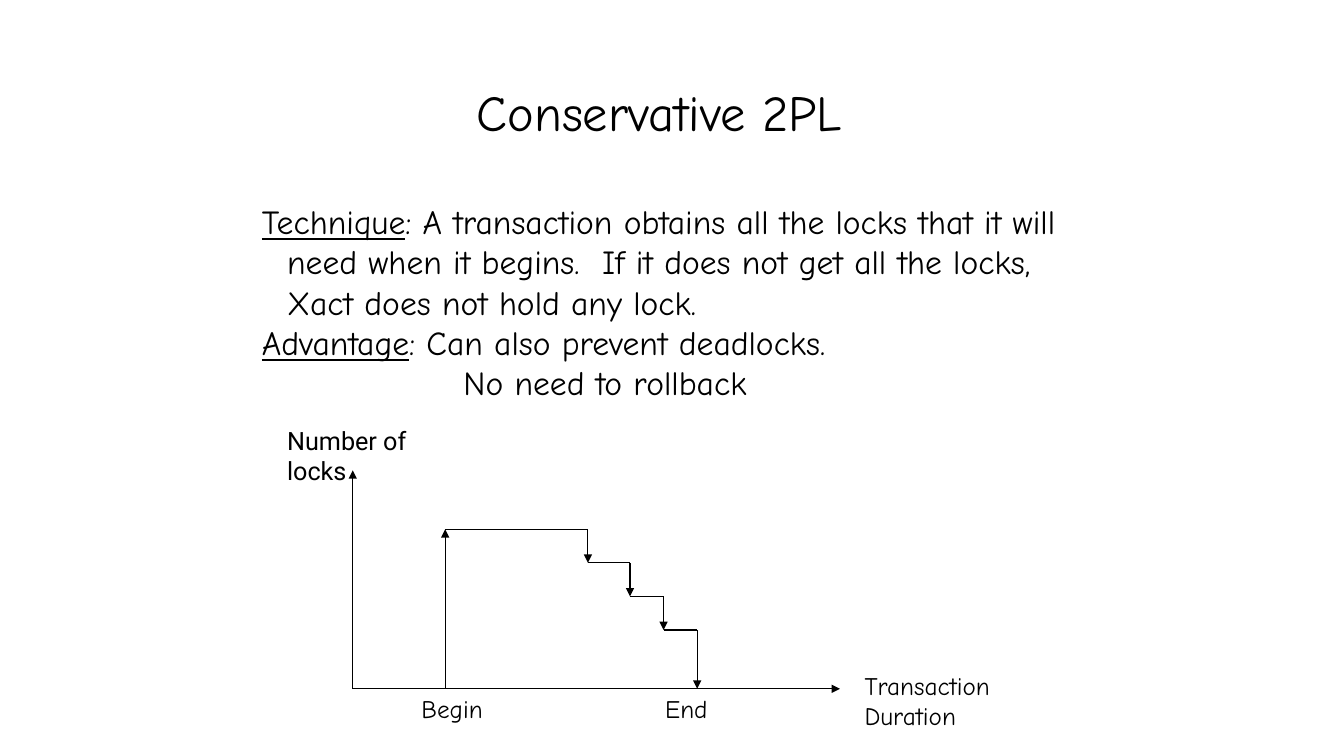
import pptx
import pptx.util
import pptx.dml.color
import pptx.enum.shapes
import pptx.enum.text
import pptx.oxml
import pptx.oxml.ns
from dataclasses import dataclass
from itertools import pairwise

Pt = pptx.util.Pt
Align = pptx.enum.text.PP_ALIGN


@dataclass(frozen=True)
class Theme:
    """Fonts, colours and sizes in points."""
    ink: str = "000000"
    paper: str = "FFFFFF"
    hand: str = "Comic Neue"
    plain: str = "Roboto"
    head: float = 36
    body: float = 24
    label: float = 18
    line: float = 0.75


THEME = Theme()


def color(value):
    """Turn a hex code into a colour."""
    return pptx.dml.color.RGBColor.from_string(value)


def write(para, text, size=THEME.label, font=THEME.hand, under=False,
          align=Align.LEFT, left=0, first=0):
    """Add a formatted run to a paragraph, with indents in points."""
    run = para.add_run()
    run.text = text
    run.font.size = Pt(size)
    run.font.name = font
    run.font.underline = under
    run.font.color.rgb = color(THEME.ink)
    para.alignment = align
    props = para._p.get_or_add_pPr()
    props.set("marL", str(Pt(left)))
    props.set("indent", str(Pt(first)))


class Page:
    """One slide and the style it is drawn in."""

    def __init__(self, deck, theme):
        """Add a title-only slide to the deck."""
        self.theme = theme
        self.slide = deck.slides.add_slide(deck.slide_layouts[5])
        fill = self.slide.background.fill
        fill.solid()
        fill.fore_color.rgb = color(theme.paper)

    def title(self, text, left, top, width, height):
        """Place and fill the title."""
        shape = self.slide.shapes.title
        shape.left, shape.top = Pt(left), Pt(top)
        shape.width, shape.height = Pt(width), Pt(height)
        frame = shape.text_frame
        frame.word_wrap = True
        frame.auto_size = pptx.enum.text.MSO_AUTO_SIZE.NONE
        frame.vertical_anchor = pptx.enum.text.MSO_ANCHOR.TOP
        para = frame.paragraphs[0]
        para.line_spacing = 1.0
        para.space_before = Pt(0)
        write(para, text, size=self.theme.head, align=Align.CENTER)

    def box(self, left, top, width, height):
        """Add a wrapping text box and return its frame."""
        shape = self.slide.shapes.add_textbox(
            Pt(left), Pt(top), Pt(width), Pt(height))
        shape.text_frame.word_wrap = True
        return shape.text_frame

    def label(self, text, left, top, width, height=29, **style):
        """Add a short text."""
        frame = self.box(left, top, width, height)
        write(frame.paragraphs[0], text, **style)

    def line(self, start, end, arrow=False):
        """Draw a line between two points, with an arrowhead if asked."""
        shape = self.slide.shapes.add_connector(
            pptx.enum.shapes.MSO_CONNECTOR.STRAIGHT,
            *(Pt(value) for value in (*start, *end)))
        shape.line.color.rgb = color(self.theme.ink)
        shape.line.width = Pt(self.theme.line)
        space = pptx.oxml.ns.nsdecls("a")
        if arrow:
            shape.line._get_or_add_ln().append(pptx.oxml.parse_xml(
                f'<a:tailEnd {space} type="triangle"/>'))
        shape._element.spPr.append(
            pptx.oxml.parse_xml(f"<a:effectLst {space}/>"))


def prose(page):
    """Write the technique and its advantages."""
    frame = page.box(180, 140, 582, 152)
    items = (
        ("Technique", ": A transaction obtains all the locks that it will "
         "need when it begins.  If it does not get all the locks, "
         "Xact does not hold any lock."),
        ("Advantage", ": Can also prevent deadlocks."),
    )
    style = dict(size=THEME.body, left=18, first=-18)
    para = frame.paragraphs[0]
    for term, text in items:
        write(para, term, under=True, **style)
        write(para, text, **style)
        para = frame.add_paragraph()
    write(para, "No need to rollback", size=THEME.body, left=144)


def graph(page):
    """Draw the number of locks over the life of a transaction."""
    base, start, peak, drop = 492, 318, 378, 24
    origin = (252, base)
    page.line(origin, (252, 336), arrow=True)
    page.line(origin, (600, base), arrow=True)

    falls = (420, 450, 474, 498)
    levels = [peak + drop * step for step in range(len(falls))] + [base]
    page.line((start, base), (start, peak), arrow=True)
    left = start
    for x, (high, low) in zip(falls, pairwise(levels)):
        page.line((left, high), (x, high))
        page.line((x, high), (x, low), arrow=True)
        left = x

    page.label("Number of locks", 198, 300, 108, 50, font=THEME.plain)
    page.label("Begin", 294, base, 72)
    page.label("End", 468, base, 60)
    page.label("Transaction Duration", 610.5, 475, 133, 50)


def main():
    """Build and save the deck."""
    deck = pptx.Presentation()
    deck.slide_width, deck.slide_height = Pt(960), Pt(540)
    page = Page(deck, THEME)
    page.title("Conservative 2PL", 180, 54, 582, 51)
    prose(page)
    graph(page)
    deck.save("out.pptx")


main()
